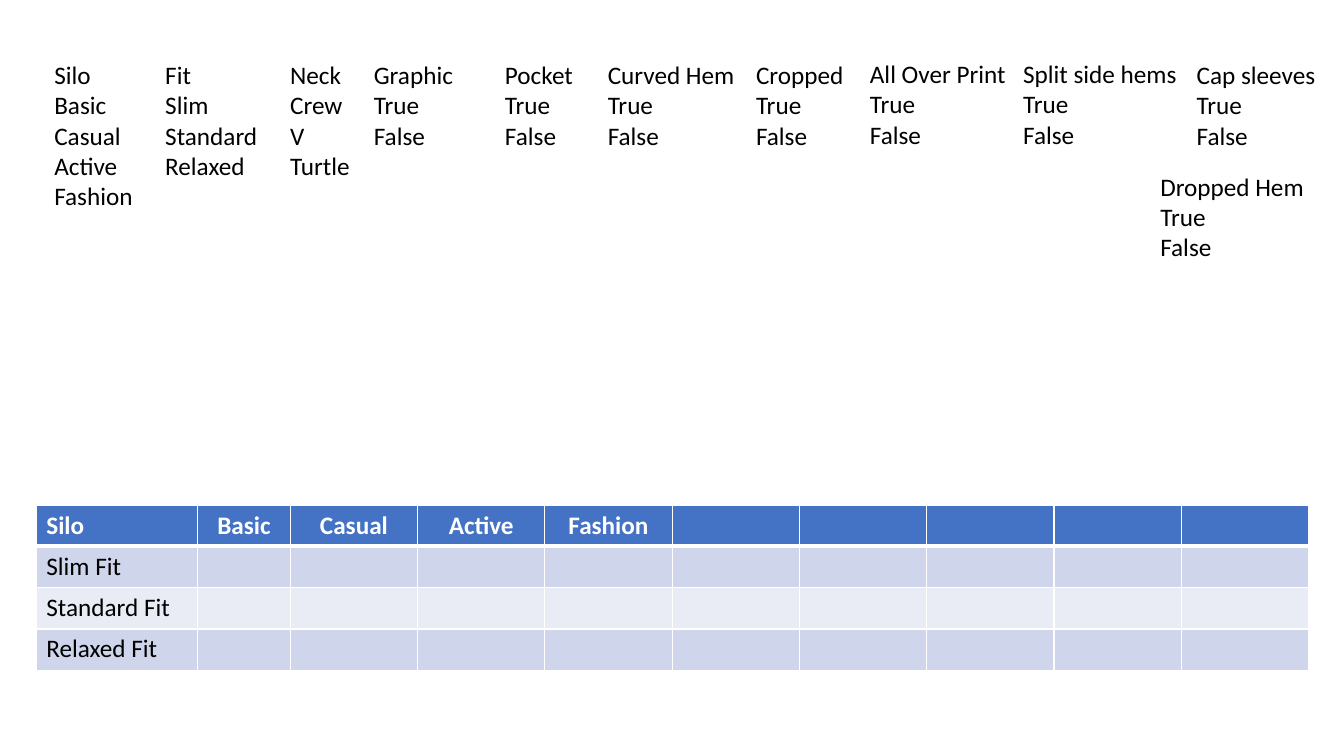
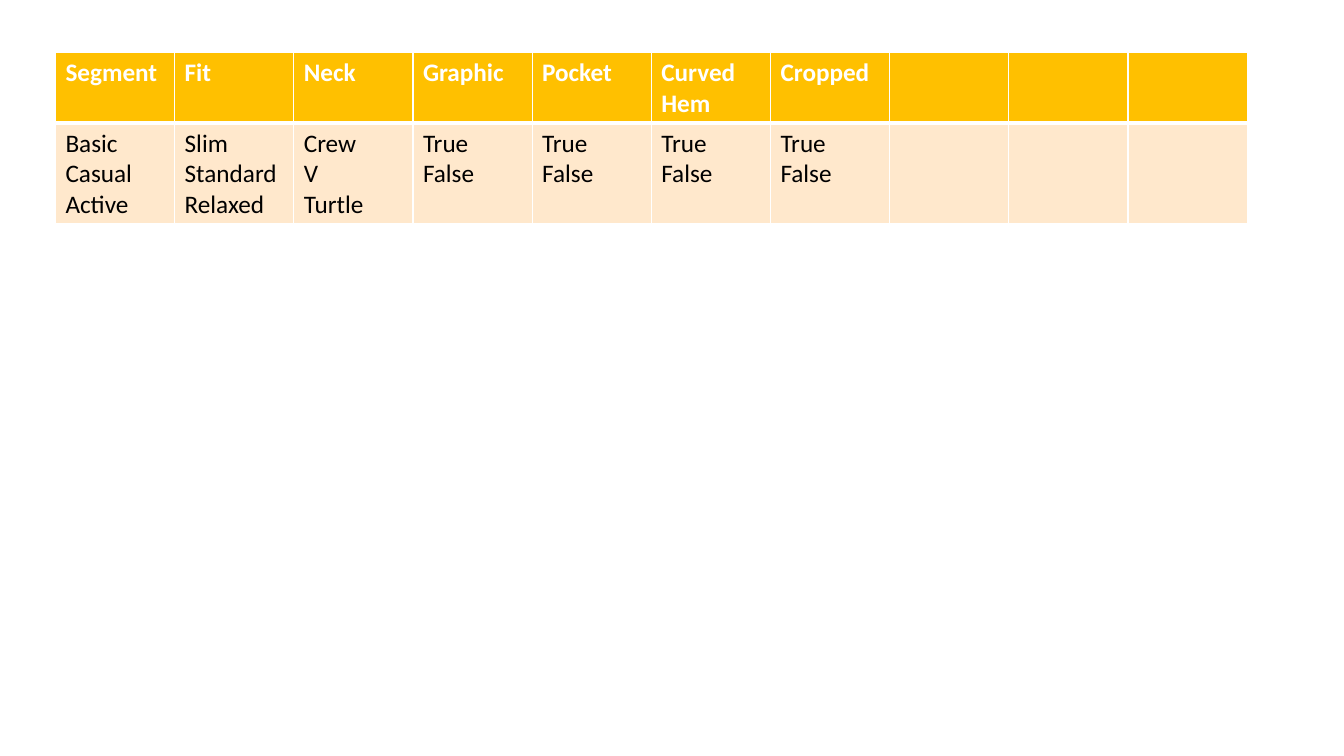
from dataclasses import dataclass

from lxml import etree
from pptx import Presentation
from pptx.dml.color import RGBColor
from pptx.enum.text import MSO_AUTO_SIZE, PP_ALIGN
from pptx.oxml.ns import qn
from pptx.slide import Slide
from pptx.text.text import TextFrame
from pptx.util import Emu, Pt

LEFT, CENTER = PP_ALIGN.LEFT, PP_ALIGN.CENTER
FIT = MSO_AUTO_SIZE.SHAPE_TO_FIT_TEXT
PX = 9144  # EMU in one px: 100 px to the inch


@dataclass(frozen=True)
class Theme:
    font: str = "Calibri"
    size: int = 18
    ink: str = "000000"
    white: str = "FFFFFF"
    blue: str = "4472C4"
    bands: tuple[str, ...] = ("CFD5EA", "E9EBF5")
    gold: str = "FFC000"
    cream: tuple[str, ...] = ("FFE8CC",)
    thin: int = 1
    thick: int = 3


@dataclass(frozen=True)
class Note:
    x: int
    y: int
    w: int
    lines: tuple[str, ...]


@dataclass(frozen=True)
class Grid:
    x: int
    y: int
    w: int
    first: tuple[int, ...]  # fixed widths; later columns share the rest
    cols: int
    rows: tuple[int, ...]
    text: tuple[tuple[str, ...], ...]
    head: str
    bands: tuple[str, ...]
    align: PP_ALIGN = LEFT  # header cells after the first


THEME = Theme()
BOOL = ("True", "False")
FITS = ("Slim", "Standard", "Relaxed")
NECKS = ("Crew", "V", "Turtle")
SILOS = ("Basic", "Casual", "Active", "Fashion")

NOTES = (
    Note(44, 54, 99, ("Silo", *SILOS)),
    Note(154, 54, 112, ("Fit", *FITS)),
    Note(278, 54, 80, ("Neck", *NECKS)),
    Note(361, 54, 100, ("Graphic", *BOOL)),
    Note(491, 54, 88, ("Pocket", *BOOL)),
    Note(593, 54, 147, ("Curved Hem", *BOOL)),
    Note(740, 54, 108, ("Cropped", *BOOL)),
    Note(853, 53, 156, ("All Over Print", *BOOL)),
    Note(1005, 53, 174, ("Split side hems", *BOOL)),
    Note(1177, 54, 139, ("Cap sleeves", *BOOL)),
    Note(1141, 165, 164, ("Dropped Hem", *BOOL)),
)

SILO = Grid(
    36, 501, 1262, (160, 92), 10, (41,) * 4,
    (("Silo", *SILOS), *((f"{fit} Fit",) for fit in FITS)),
    THEME.blue, THEME.bands, CENTER,
)

TRAITS = Grid(
    55, 52, 1182, (), 10, (70, 100),
    (
        ("Segment", "Fit", "Neck", "Graphic", "Pocket", "Curved Hem", "Cropped"),
        ("\n".join(SILOS[:3]), "\n".join(FITS), "\n".join(NECKS),
         *("\n".join(BOOL),) * 4),
    ),
    THEME.gold, THEME.cream,
)


def px(num: int) -> Emu:
    return Emu(num * PX)


def write(frame: TextFrame, text: str, color: str, bold: bool = False,
          align: PP_ALIGN = LEFT) -> None:
    frame.text = text
    for para in frame.paragraphs:
        para.alignment = align
        font = para.font
        font.name, font.size, font.bold = THEME.font, Pt(THEME.size), bold
        font.color.rgb = RGBColor.from_string(color)


def add_note(slide: Slide, note: Note) -> None:
    high = 10 + 30 * len(note.lines)
    box = slide.shapes.add_textbox(px(note.x), px(note.y), px(note.w), px(high))
    frame = box.text_frame
    frame.word_wrap = False
    frame.auto_size = FIT
    write(frame, "\n".join(note.lines), THEME.ink)


def add_edges(cell, top: int, base: int) -> None:
    """Draw white borders; they must come before the fill."""
    props = cell._tc.get_or_add_tcPr()
    sides = {"L": THEME.thin, "R": THEME.thin, "T": top, "B": base}
    for i, (side, wide) in enumerate(sides.items()):
        line = etree.Element(qn(f"a:ln{side}"), w=str(Pt(wide)))
        fill = etree.SubElement(line, qn("a:solidFill"))
        etree.SubElement(fill, qn("a:srgbClr"), val=THEME.white)
        props.insert(i, line)


def add_grid(slide: Slide, grid: Grid) -> None:
    table = slide.shapes.add_table(
        len(grid.rows), grid.cols, px(grid.x), px(grid.y),
        px(grid.w), px(sum(grid.rows))).table

    # Column widths and row heights
    rest = px(grid.w - sum(grid.first)) // (grid.cols - len(grid.first))
    for c, col in enumerate(table.columns):
        col.width = px(grid.first[c]) if c < len(grid.first) else Emu(rest)
    for row, high in zip(table.rows, grid.rows):
        row.height = px(high)

    # Cells
    for r, words in enumerate(grid.text):
        head = r == 0
        fill = grid.head if head else grid.bands[(r - 1) % len(grid.bands)]
        top = THEME.thick if r == 1 else THEME.thin
        base = THEME.thick if head else THEME.thin
        for c in range(grid.cols):
            cell = table.cell(r, c)
            cell.fill.solid()
            cell.fill.fore_color.rgb = RGBColor.from_string(fill)
            add_edges(cell, top, base)
            write(cell.text_frame, words[c] if c < len(words) else "",
                  THEME.white if head else THEME.ink, head,
                  grid.align if head and c else LEFT)


def main() -> None:
    deck = Presentation()
    deck.slide_width, deck.slide_height = px(1333), px(750)
    blank = deck.slide_layouts[6]

    # Slide 1: lists of traits above the silo table
    slide = deck.slides.add_slide(blank)
    add_grid(slide, SILO)
    for note in NOTES:
        add_note(slide, note)

    # Slide 2: traits as one table
    add_grid(deck.slides.add_slide(blank), TRAITS)
    deck.save("out.pptx")


if __name__ == "__main__":
    main()
